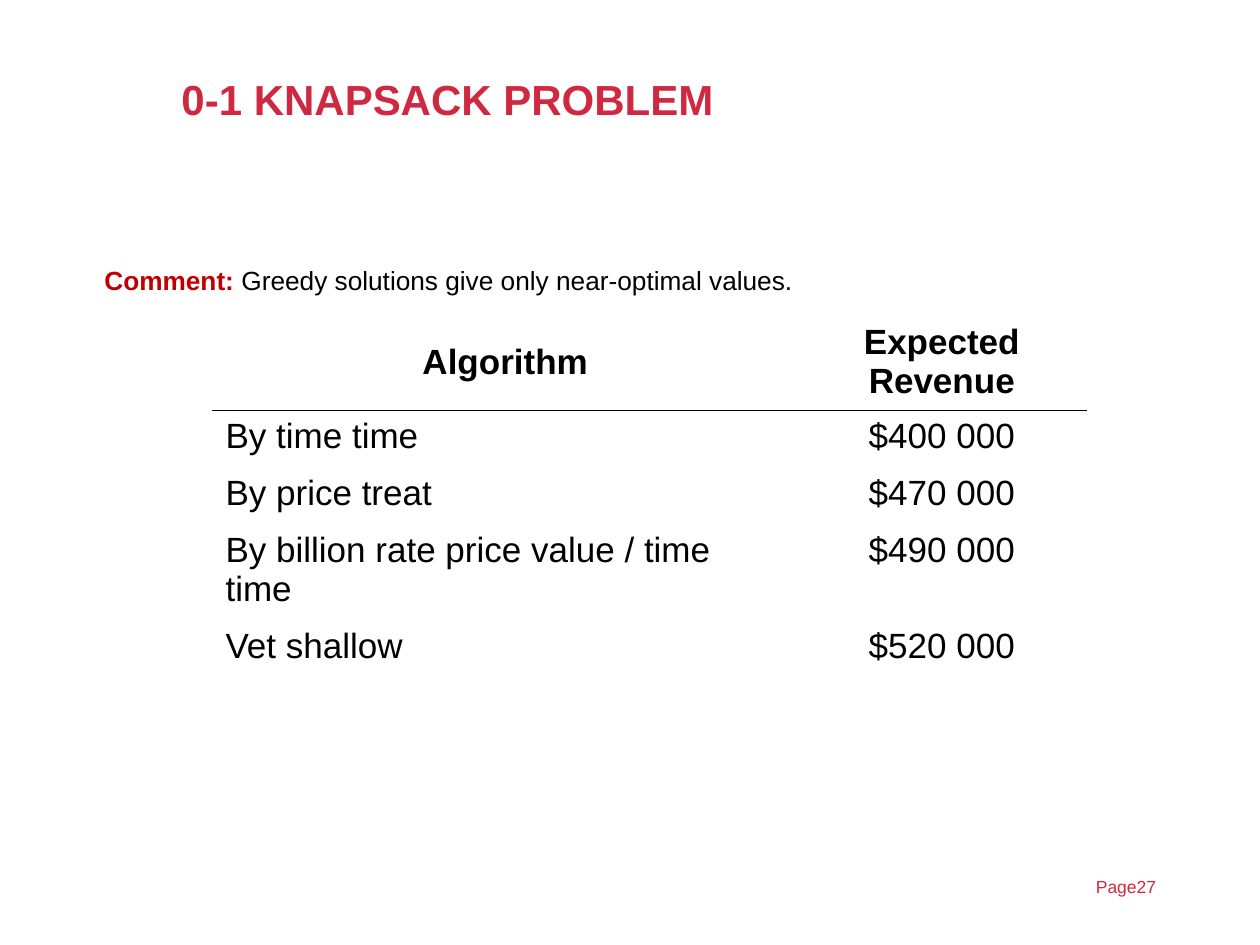
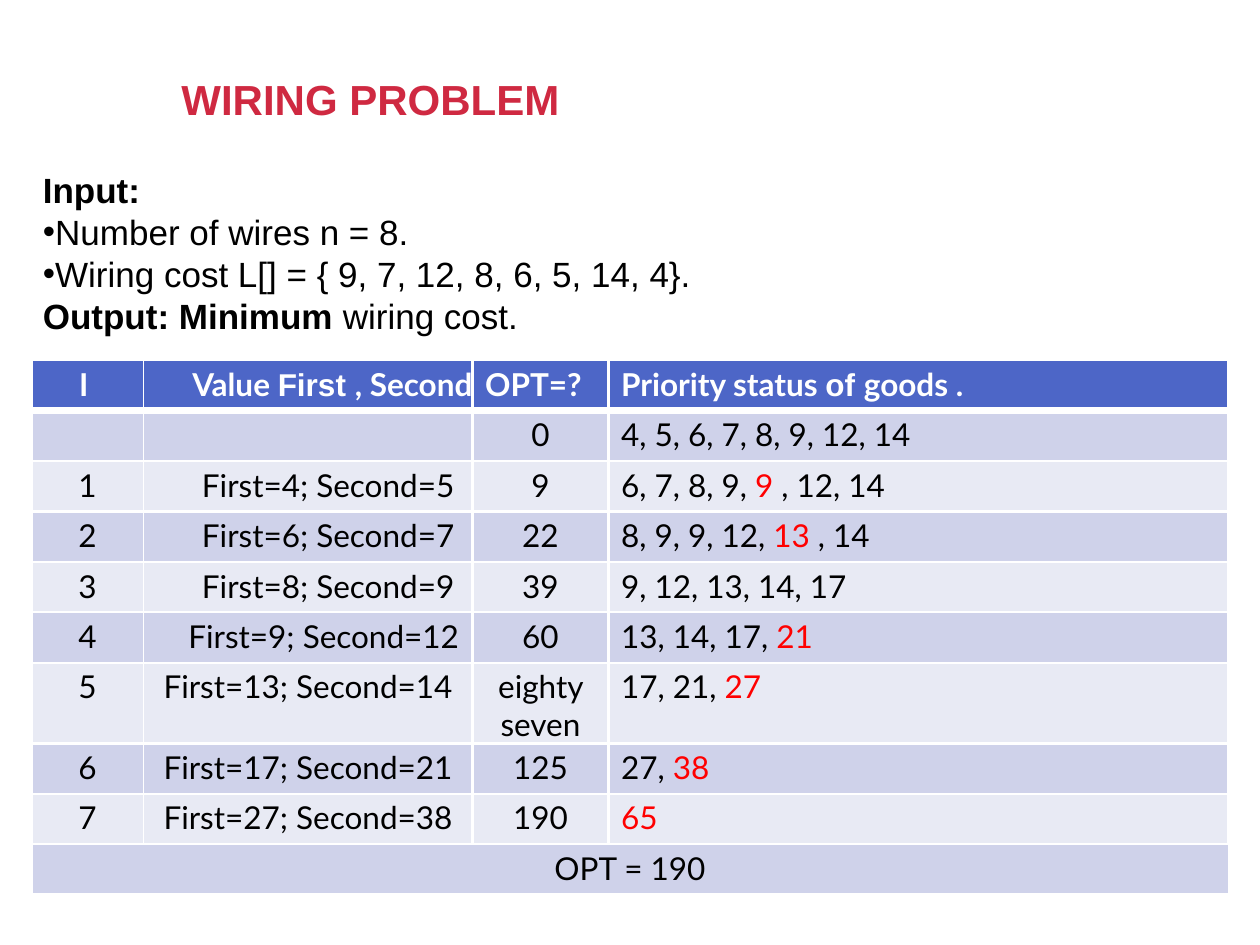
from lxml import etree
from pptx import Presentation
from pptx.dml.color import RGBColor
from pptx.enum.text import MSO_ANCHOR, MSO_AUTO_SIZE, PP_ALIGN
from pptx.oxml.ns import qn
from pptx.util import Inches, Pt

LEFT, CENTER, RIGHT = PP_ALIGN.LEFT, PP_ALIGN.CENTER, PP_ALIGN.RIGHT
TOP, MIDDLE = MSO_ANCHOR.TOP, MSO_ANCHOR.MIDDLE
NO_AUTOFIT = MSO_AUTO_SIZE.NONE

CRIMSON = RGBColor(0xCF, 0x29, 0x41)
DARK_RED = RGBColor(0xC0, 0x00, 0x00)
RED = RGBColor(0xFF, 0x00, 0x00)
BLACK = RGBColor(0x00, 0x00, 0x00)
WHITE = RGBColor(0xFF, 0xFF, 0xFF)
HEADER_BLUE = RGBColor(0x4D, 0x66, 0xC7)
BAND_DARK = RGBColor(0xCF, 0xD2, 0xEA)
BAND_LIGHT = RGBColor(0xE8, 0xEA, 0xF4)

SANS, LATO = "Arial", "Lato"
BOLD = {"bold": True}
MERGED = {"color": RED}

KNAPSACK = {
    "title": "0-1 KNAPSACK PROBLEM",
    "page": "Page27",
    "comment": [
        (" ", {}),
        ("Comment: ", {"bold": True, "color": DARK_RED}),
        ("Greedy solutions give only near-optimal values.", {}),
    ],
    "revenues": [
        ("Algorithm", "Expected Revenue"),
        ("By time time", "$400 000"),
        ("By price treat", "$470 000"),
        ("By billion rate price value / time time", "$490 000"),
        ("Vet shallow", "$520 000"),
    ],
    "widths": [4.64, 2.29],
    "heights": [0.77, 0.45, 0.45, 0.45, 0.43],
}

WIRING = {
    "title": "WIRING PROBLEM",
    "task": [
        (False, [("Input:", BOLD)]),
        (True, [("Number of wires n = 8.", {})]),
        (True, [("Wiring cost L[] = { 9, 7, 12, 8, 6, 5, 14, 4}.", {})]),
        (False, [("Output: Minimum ", BOLD), ("wiring cost.", {})]),
    ],
    "header": [
        [("I ", {})],
        [("Value ", {}), ("First ", {"font": SANS}), (", Second", {})],
        [("OPT=?", {})],
        [("Priority status ", {}), ("of ", {"font": SANS}), ("goods .", {})],
    ],
    "steps": [
        ("", "", "0", [("4, 5, 6, 7, 8, 9, 12, 14", {})]),
        ("1", "First=4; Second=5", "9",
         [("6, 7, 8, 9, ", {}), ("9 ", MERGED), (", 12, 14", {})]),
        ("2", "First=6; Second=7", "22",
         [("8, 9, 9, 12, ", {}), ("13 ", MERGED), (", 14", {})]),
        ("3", "First=8; Second=9", "39", [("9, 12, 13, 14, 17", {})]),
        ("4", "First=9; Second=12", "60", [("13, 14, 17, ", {}), ("21", MERGED)]),
        ("5", "First=13; Second=14", "eighty seven", [("17, 21, ", {}), ("27", MERGED)]),
        ("6", "First=17; Second=21", "125", [("27, ", {}), ("38", MERGED)]),
        ("7", "First=27; Second=38", "190", [("65", MERGED)]),
    ],
    "pair_indents": {2: 0.32, 3: 0.32, 4: 0.32, 5: 0.25},
    "result": "OPT = 190",
    "widths": [0.89, 2.61, 1.08, 4.92],
}


def write(paragraph, runs, size, font=SANS, color=BLACK, bold=False,
          align=LEFT, indent=0, before=0, spacing=None):
    paragraph.alignment = align
    paragraph.space_before = Pt(before)
    if spacing:
        paragraph.line_spacing = spacing
    properties = paragraph._p.get_or_add_pPr()
    properties.set("marL", str(Inches(indent)))
    properties.set("indent", "0")
    for text, style in runs:
        run = paragraph.add_run()
        run.text = text
        run.font.size = Pt(size)
        run.font.name = style.get("font", font)
        run.font.bold = style.get("bold", bold)
        run.font.color.rgb = style.get("color", color)


def set_bullet(paragraph, bulleted):
    properties = paragraph._p.get_or_add_pPr()
    if bulleted:
        etree.SubElement(properties, qn("a:buChar"), char="•")
    else:
        etree.SubElement(properties, qn("a:buNone"))


def place(shape, left, top, width, height):
    shape.left, shape.top = Inches(left), Inches(top)
    shape.width, shape.height = Inches(width), Inches(height)


def set_margins(target, left, top, right, bottom):
    target.margin_left, target.margin_top = Inches(left), Inches(top)
    target.margin_right, target.margin_bottom = Inches(right), Inches(bottom)


def set_borders(cell, color, widths):
    properties = cell._tc.get_or_add_tcPr()
    for side in "LRTB":
        if side in widths:
            line = etree.SubElement(properties, qn(f"a:ln{side}"), w=str(Pt(widths[side])))
            fill = etree.SubElement(line, qn("a:solidFill"))
            etree.SubElement(fill, qn("a:srgbClr"), val=str(color))


def start_slide(deck, heading):
    slide = deck.slides.add_slide(deck.slide_layouts[1])
    title = slide.shapes.title
    place(title, 1.34, 0.4, 7.98, 0.82)
    title.text_frame.vertical_anchor = MIDDLE
    title.text_frame.auto_size = NO_AUTOFIT
    write(title.text_frame.paragraphs[0], [(heading, {})], 24,
          color=CRIMSON, bold=True, spacing=0.9)
    body = slide.placeholders[1]
    body.text_frame.auto_size = NO_AUTOFIT
    return slide, body


def add_grid(slide, left, top, widths, heights):
    table = slide.shapes.add_table(
        len(heights), len(widths), Inches(left), Inches(top),
        Inches(sum(widths)), Inches(sum(heights))).table
    table.first_row = table.horz_banding = False
    for column, width in zip(table.columns, widths):
        column.width = Inches(width)
    for row, height in zip(table.rows, heights):
        row.height = Inches(height)
    return table


def build_knapsack(deck):
    slide, comment = start_slide(deck, KNAPSACK["title"])
    page = slide.shapes.add_textbox(Inches(8.6), Inches(6.9), Inches(1.2), Inches(0.28))
    page.text_frame.word_wrap = True
    write(page.text_frame.paragraphs[0], [(KNAPSACK["page"], {})], 10, color=CRIMSON)
    place(comment, 0.67, 2, 8.92, 4.76)
    line = comment.text_frame.paragraphs[0]
    write(line, KNAPSACK["comment"], 15, spacing=1.2)
    set_bullet(line, False)

    table = add_grid(slide, 1.69, 2.49, KNAPSACK["widths"], KNAPSACK["heights"])
    for r, entries in enumerate(KNAPSACK["revenues"]):
        header = r == 0
        for c, entry in enumerate(entries):
            cell = table.cell(r, c)
            set_margins(cell, 0.1, 0.05, 0.1, 0.05)
            cell.vertical_anchor = MIDDLE if header else TOP
            if r < 2:
                set_borders(cell, BLACK, {"B" if header else "T": 1})
            cell.fill.background()
            write(cell.text_frame.paragraphs[0], [(entry, {})], 20, bold=header,
                  align=CENTER if header or c == 1 else LEFT)


def build_wiring(deck):
    slide, task = start_slide(deck, WIRING["title"])
    place(task, 0.33, 1.33, 9.17, 1.36)
    set_margins(task.text_frame, 0, 0.01, 0, 0)
    for i, (bulleted, runs) in enumerate(WIRING["task"]):
        line = task.text_frame.paragraphs[0] if i == 0 else task.text_frame.add_paragraph()
        write(line, runs, 20, indent=0.01, spacing=1.0)
        set_bullet(line, bulleted)

    steps = [[[(pick, {})] if pick else [] for pick in step[:3]] + [step[3]]
             for step in WIRING["steps"]]
    rows = [WIRING["header"], *steps, [[(WIRING["result"], {})], [], [], []]]
    last = len(rows) - 1
    table = add_grid(slide, 0.25, 2.86, WIRING["widths"], [0.4] * len(rows))
    for r, row in enumerate(rows):
        header = r == 0
        fill = HEADER_BLUE if header else BAND_DARK if r % 2 else BAND_LIGHT
        for c, runs in enumerate(row):
            cell = table.cell(r, c)
            set_margins(cell, 0, 0.04, 0, 0)
            set_borders(cell, WHITE, {
                "L": 1 if c == 1 else 1.5,
                "R": 1 if c == 0 else 1.5,
                "T": 4.25 if r == 1 else 1.5,
                "B": 4.25 if header else 1.5,
            })
            cell.fill.solid()
            cell.fill.fore_color.rgb = fill
            align, indent = CENTER, 0
            if c == 3 or header and c == 2:
                align, indent = LEFT, 0.1
            elif c == 1:
                align = RIGHT if header else CENTER
                indent = WIRING["pair_indents"].get(r, 0)
            write(cell.text_frame.paragraphs[0], runs, 18, font=LATO, bold=header,
                  color=WHITE if header else BLACK, align=align, indent=indent, before=3.2)
    table.cell(last, 0).merge(table.cell(last, 3))


def main():
    deck = Presentation()
    deck.slide_width, deck.slide_height = Inches(10), Inches(7.5)
    build_knapsack(deck)
    build_wiring(deck)
    deck.save("out.pptx")


if __name__ == "__main__":
    main()
